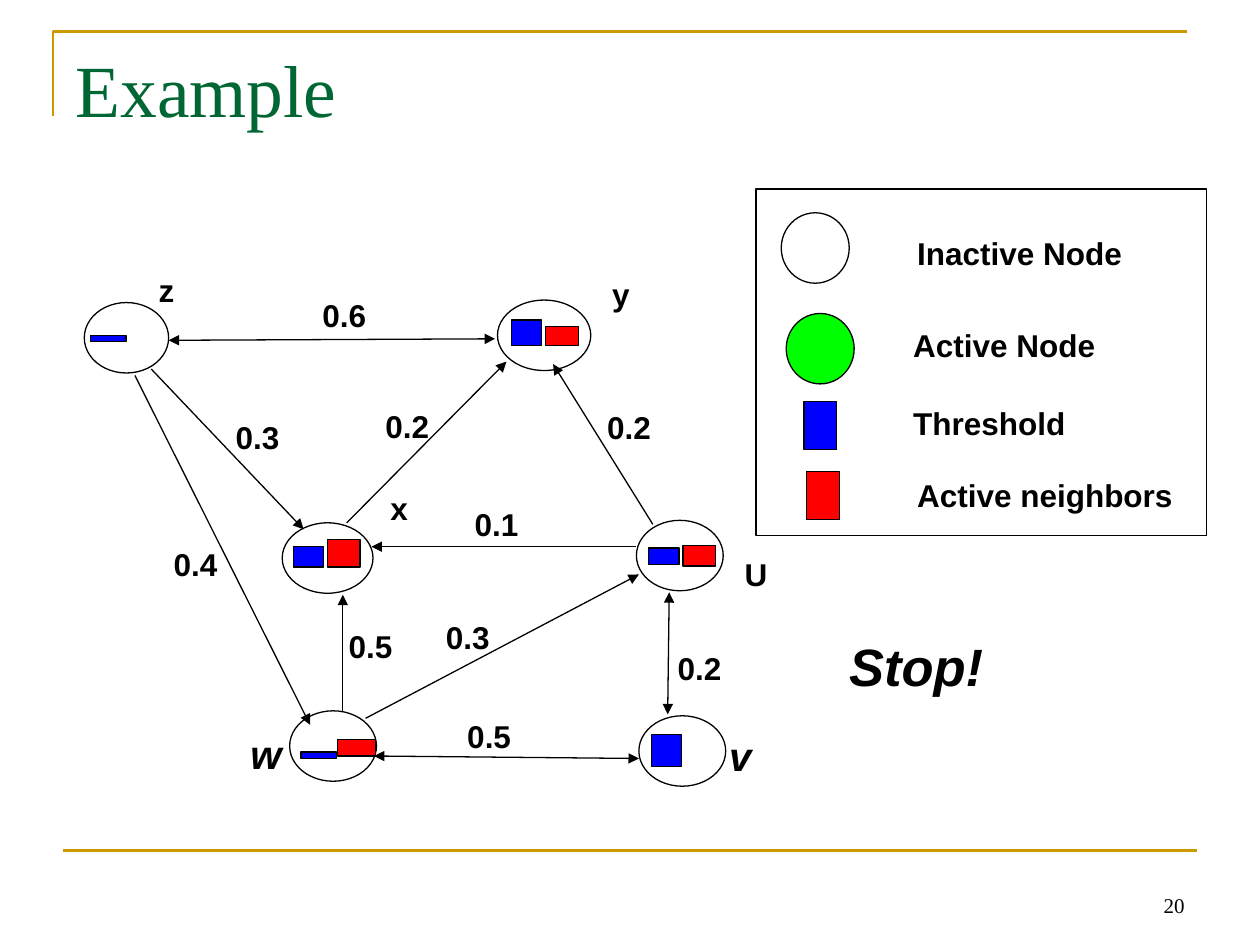
import pptx
import pptx.util
import pptx.dml.color
import pptx.enum.shapes
import pptx.enum.text
import pptx.oxml.ns
import lxml.etree

Cm = pptx.util.Cm
MSO_SHAPE = pptx.enum.shapes.MSO_SHAPE
ANCHOR = pptx.enum.text.MSO_ANCHOR
ALIGN = pptx.enum.text.PP_ALIGN
COLORS = {"black": "000000", "white": "FFFFFF", "blue": "0000FF", "red": "FF0000",
          "green": "00FF00", "gold": "CC9900", "title": "006633"}
BOLD = {"name": "Arial", "size": 18, "bold": True}
ITALIC = {**BOLD, "size": 23, "italic": True}
SERIF = {"name": "Times New Roman", "size": 12}


def rgb(name):
    return pptx.dml.color.RGBColor.from_string(COLORS[name])


class Board:
    def __init__(self, prs):
        self.s = prs.slides.add_slide(prs.slide_layouts[5])

    def fill_text(self, sp, text, fmt, color="black", align=ALIGN.LEFT, anchor=ANCHOR.TOP, wrap=True):
        tf = sp.text_frame
        tf.word_wrap = wrap
        tf.vertical_anchor = anchor
        p = tf.paragraphs[0]
        p.alignment = align
        r = p.add_run()
        r.text = text
        for key, value in fmt.items():
            setattr(r.font, key, pptx.util.Pt(value) if key == "size" else value)
        r.font.color.rgb = rgb(color)

    def title(self, text, box):
        sp = self.s.shapes.title
        for key, value in zip(("left", "top", "width", "height"), box):
            setattr(sp, key, Cm(value))
        self.fill_text(sp, text, {**SERIF, "size": 42}, "title")

    def text(self, text, box, fmt=BOLD, **options):
        sp = self.s.shapes.add_textbox(*map(Cm, box))
        self.fill_text(sp, text, fmt, **options)

    def stroke(self, sp, color="black", width=0.75):
        sp.line.color.rgb = rgb(color)
        sp.line.width = pptx.util.Pt(width)

    def shape(self, kind, box, fill=None):
        sp = self.s.shapes.add_shape(kind, *map(Cm, box))
        sp.shadow.inherit = False
        if fill:
            sp.fill.solid()
            sp.fill.fore_color.rgb = rgb(fill)
        else:
            sp.fill.background()
        self.stroke(sp)

    def corner(self, points):
        pts = [(Cm(x), Cm(y)) for x, y in points]
        fb = self.s.shapes.build_freeform(*pts[0])
        fb.add_line_segments(pts[1:], close=False)
        sp = fb.convert_to_shape()
        sp.shadow.inherit = False
        sp.fill.background()
        self.stroke(sp, "gold", 1.5)

    def line(self, ends, arrows=(), color="black", width=0.75):
        sp = self.s.shapes.add_connector(pptx.enum.shapes.MSO_CONNECTOR.STRAIGHT, *map(Cm, ends))
        self.stroke(sp, color, width)
        qn = pptx.oxml.ns.qn
        ln = sp.line._get_or_add_ln()
        for tag in arrows:
            lxml.etree.SubElement(ln, qn("a:" + tag), type="triangle")
        lxml.etree.SubElement(sp._element.spPr, qn("a:effectLst"))


ONE, BOTH = ("tailEnd",), ("headEnd", "tailEnd")
NODE_H, TEXT_H = 1.42, 1.02

NODES = [
    ("z", (1.7, 6.1, 1.7), (2.95, 5.33), {"blue": (1.83, 6.76, 0.71, 0.13)}),
    ("y", (10.03, 6.05, 1.88), (12.09, 5.41),
     {"blue": (10.31, 6.45, 0.61, 0.51), "red": (11, 6.58, 0.66, 0.38)}),
    ("x", (5.69, 10.54, 1.83), (7.62, 9.73),
     {"blue": (5.92, 11.02, 0.61, 0.41), "red": (6.6, 10.87, 0.66, 0.56)}),
    ("U", (12.83, 10.49, 1.75), (14.76, 11.07),
     {"blue": (13.08, 11.05, 0.61, 0.33), "red": (13.77, 11, 0.66, 0.41)}),
    ("w", (5.84, 14.33, 1.75), (4.8, 14.58),
     {"blue": (6.07, 15.16, 0.71, 0.13), "red": (6.81, 14.91, 0.76, 0.33)}),
    ("v", (12.88, 14.43, 1.75), (14.45, 14.61), {"blue": (13.13, 14.81, 0.61, 0.64)}),
]
EDGES = [
    ("0.5", (7.54, 15.24, 12.88, 15.29), (9.17, 14.33), BOTH),
    ("0.3", (7.37, 14.48, 12.88, 11.58), (8.74, 12.34), ONE),
    ("0.5", (6.91, 14.33, 6.91, 11.99), (6.78, 12.52), ONE),
    ("0.1", (12.83, 11.02, 7.49, 11.02), (9.32, 10.06), ONE),
    ("0.4", (2.72, 7.57, 6.25, 14.61), (3.25, 10.87), ONE),
    ("0.3", (3.05, 7.44, 6.12, 10.67), (4.5, 8.31), ONE),
    ("0.2", (6.99, 10.54, 10.21, 7.29), (7.52, 8.08), ONE),
    ("0.6", (3.4, 6.86, 9.98, 6.83), (6.25, 5.84), BOTH),
    ("0.2", (13.16, 10.57, 11.15, 7.34), (11.99, 8.1), ONE),
    ("0.2", (13.49, 11.94, 13.46, 14.4), (13.41, 12.95), BOTH),
]
LEGEND = [
    ("Inactive Node", MSO_SHAPE.OVAL, (15.75, 4.29, 1.37, NODE_H), "white", (18.24, 4.6, 4.65)),
    ("Active Node", MSO_SHAPE.OVAL, (15.85, 6.32, 1.37, NODE_H), "green", (18.16, 6.45, 4.19)),
    ("Threshold", MSO_SHAPE.RECTANGLE, (16.21, 8.1, 0.66, 0.97), "blue", (18.16, 8.03, 3.58)),
    ("Active neighbors", MSO_SHAPE.RECTANGLE, (16.26, 9.5, 0.66, 0.97), "red", (18.24, 9.47, 5.66)),
]


def main():
    prs = pptx.Presentation()
    prs.slide_width, prs.slide_height = Cm(25.4), Cm(19.05)
    b = Board(prs)
    b.corner([(1.07, 2.34), (1.07, 0.64), (23.93, 0.64)])
    b.line((1.27, 17.15, 24.13, 17.15), color="gold", width=1.5)
    b.title("Example", (1.27, 0.76, 22.86, 3.18))

    b.shape(MSO_SHAPE.RECTANGLE, (15.24, 3.81, 9.09, 6.99))
    for label, kind, box, fill, place in LEGEND:
        b.shape(kind, box, fill)
        b.text(label, (*place, TEXT_H), wrap=False)

    for name, oval, place, bars in NODES:
        b.shape(MSO_SHAPE.OVAL, (*oval, NODE_H), "white")
    for weight, ends, place, arrows in EDGES:
        b.line(ends, arrows)
        b.text(weight, (*place, 1.7, TEXT_H))
    for name, oval, place, bars in NODES:
        for fill, box in bars.items():
            b.shape(MSO_SHAPE.RECTANGLE, box, fill)
        if name in "vw":
            b.text(name, (*place, 0.92, 1.22), ITALIC)
        else:
            b.text(name, (*place, 1.12, TEXT_H))

    b.text("Stop!", (16.87, 12.65, 3.63, 1.52), {**ITALIC, "size": 30})
    b.text("20", (18.21, 17.35, 5.92, 1.27), SERIF, align=ALIGN.RIGHT, anchor=ANCHOR.BOTTOM)
    prs.save("out.pptx")


if __name__ == "__main__":
    main()
